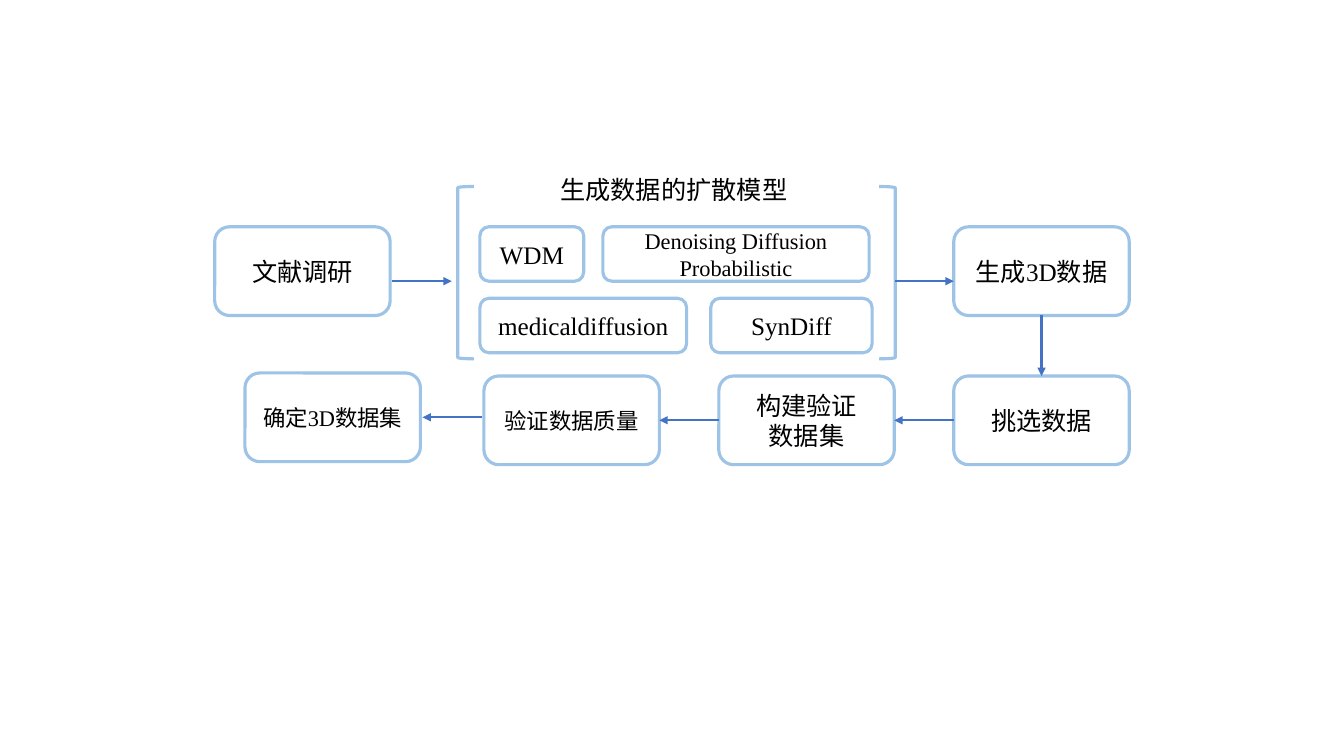
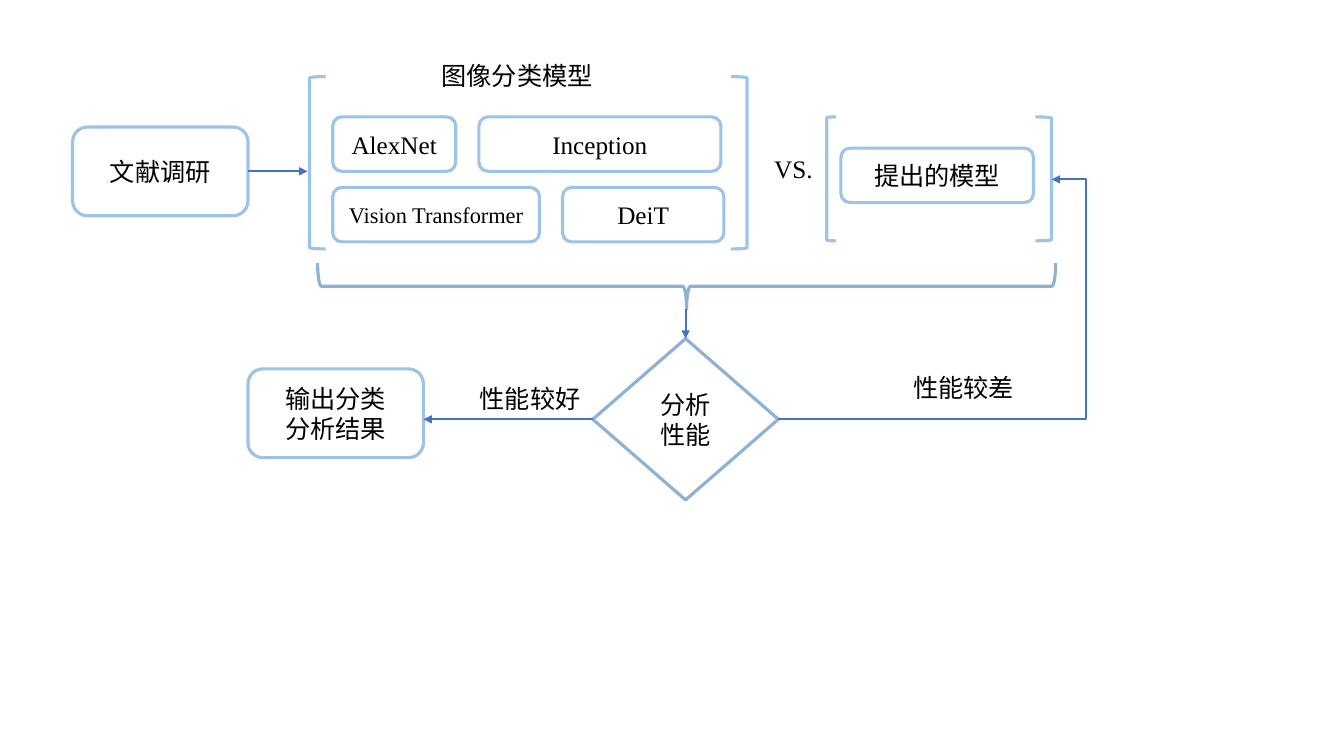
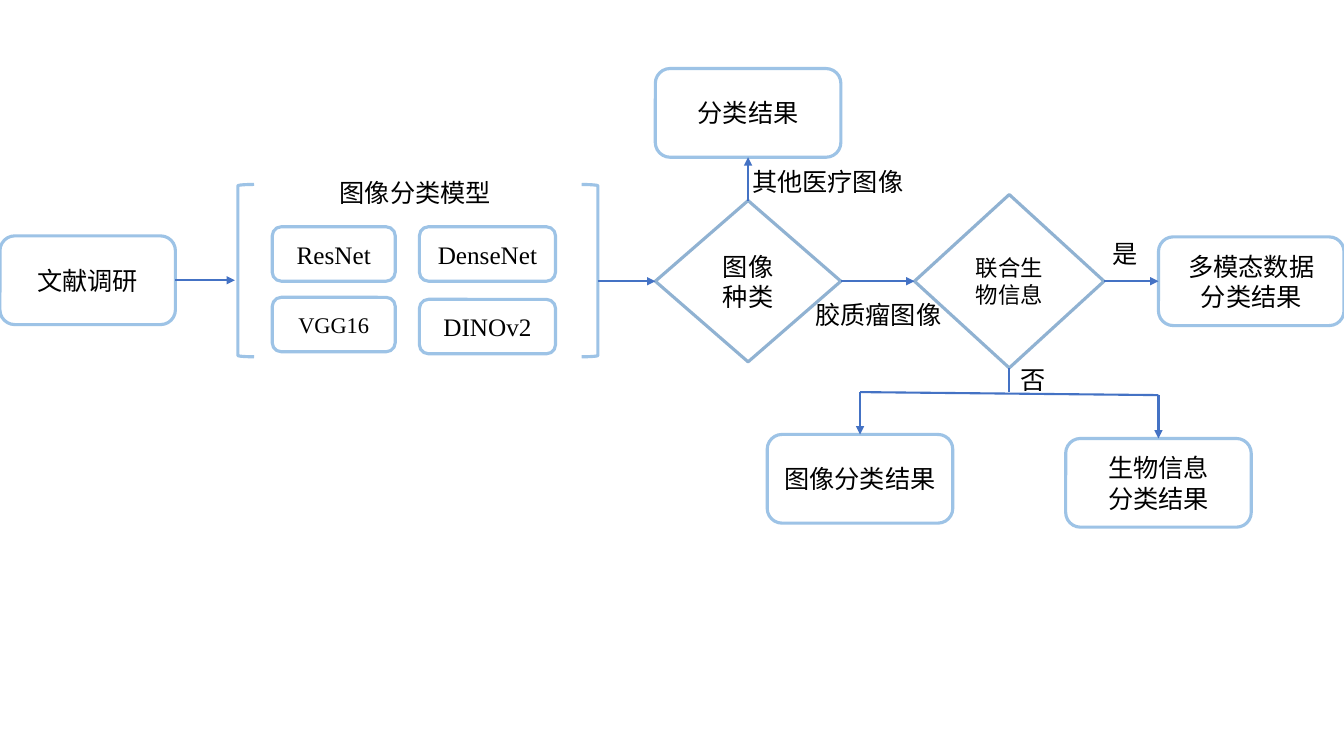
from lxml import etree
from pptx import Presentation
from pptx.dml.color import RGBColor
from pptx.enum import shapes, text
from pptx.oxml import ns
from pptx.util import Inches, Pt

LIGHT_BLUE = RGBColor(0x9D, 0xC3, 0xE6)
STEEL_BLUE = RGBColor(0x90, 0xB2, 0xD2)
ARROW_BLUE = RGBColor(0x44, 0x72, 0xC4)
WHITE = RGBColor(0xFF, 0xFF, 0xFF)
BLACK = RGBColor(0x00, 0x00, 0x00)
LATIN_FONT = "Times New Roman"
CHINESE_FONT = "Noto Sans CJK SC"

TOP, LEFT, BOTTOM, RIGHT = range(4)
STEP = (1.74, 0.88)
RESULT = (1.84, 0.88)
MODEL_HEIGHT = 0.54
LABEL_HEIGHT = 0.4
BRACKET = (0.16, 1.71)
COLUMNS = [9.46 - 2.33 * column for column in range(3)]

ROUNDED = shapes.MSO_SHAPE.ROUNDED_RECTANGLE
DIAMOND = shapes.MSO_SHAPE.DIAMOND
LEFT_BRACKET = shapes.MSO_SHAPE.LEFT_BRACKET
RIGHT_BRACKET = shapes.MSO_SHAPE.RIGHT_BRACKET
LEFT_BRACE = shapes.MSO_SHAPE.LEFT_BRACE

# boxes: name, text, left, top, (width, height), font size
# models: text, left, top, width, font size
# brackets: preset, left, top, (width, height)
# labels: text, left, top, width, centred
# arrows: start, end as a point or a (box name, side)
DATA_GENERATION = {
    "boxes": [
        ("review", "文献调研", 2.13, 2.25, STEP, 18),
        ("generate", "生成3D数据", COLUMNS[0], 2.25, STEP, 18),
        ("select", "挑选数据", COLUMNS[0], 3.73, STEP, 18),
        ("build", "构建验证\n数据集", COLUMNS[1], 3.73, STEP, 18),
        ("verify", "验证数据质量", COLUMNS[2], 3.73, STEP, 16),
        ("confirm", "确定3D数据集", 2.43, 3.7, STEP, 16),
    ],
    "models": [
        ("WDM", 4.76, 2.25, 1.03, 18),
        ("Denoising Diffusion Probabilistic", 5.98, 2.25, 2.64, 16),
        ("medicaldiffusion", 4.76, 2.96, 2.05, 18),
        ("SynDiff", 7.05, 2.96, 1.6, 18),
    ],
    "brackets": [(LEFT_BRACKET, 4.54, 1.85, BRACKET), (RIGHT_BRACKET, 8.72, 1.85, BRACKET)],
    "labels": [("生成数据的扩散模型", 5.46, 1.68, 2.5, False)],
    "arrows": [
        ((3.89, 2.79), (4.48, 2.79)),
        ((8.88, 2.79), (9.46, 2.79)),
        (("generate", BOTTOM), ("select", TOP)),
        (("select", LEFT), ("build", RIGHT)),
        (("build", LEFT), ("verify", RIGHT)),
        ((4.78, 4.14), (4.19, 4.14)),
    ],
}

MODEL_COMPARISON = {
    "boxes": [
        ("review", "文献调研", 0.72, 1.26, STEP, 18),
        ("output", "输出分类\n分析结果", 2.46, 3.66, STEP, 18),
    ],
    "models": [
        ("AlexNet", 3.3, 1.16, 1.22, 18),
        ("Inception", 4.75, 1.16, 2.4, 18),
        ("Vision Transformer", 3.3, 1.86, 2.05, 16),
        ("DeiT", 5.58, 1.86, 1.6, 18),
        ("提出的模型", 8.34, 1.47, 1.91, 18),
    ],
    "diamonds": [("analyse", "分析\n性能", 5.88, 3.36, (1.84, 1.6), 18)],
    "brackets": [
        (LEFT_BRACKET, 3.07, 0.76, BRACKET),
        (RIGHT_BRACKET, 7.25, 0.76, BRACKET),
        (LEFT_BRACKET, 8.2, 1.16, (0.09, 1.23)),
        (RIGHT_BRACKET, 10.27, 1.16, (0.16, 1.23)),
    ],
    "braces": [(LEFT_BRACE, 6.58, -0.82, (0.46, 7.32))],
    "labels": [
        ("图像分类模型", 4.28, 0.55, 1.93, False),
        ("VS.", 7.58, 1.47, 0.65, False),
        ("性能较好", 4.66, 3.75, 1.27, False),
        ("性能较差", 8.96, 3.64, 1.27, False),
    ],
    "arrows": [
        (("review", RIGHT), (3.05, 1.7)),
        (("analyse", LEFT), (4.2, 4.16)),
        ((6.8, 3.07), ("analyse", TOP)),
    ],
    "elbows": [((7.72, 4.16), (10.43, 1.78), 112700)],
}

MULTIMODAL_RESULT = {
    "boxes": [
        ("review", "文献调研", 0, 2.34, STEP, 18),
        ("other", "分类结果", 6.5, 0.68, RESULT, 18),
        ("multimodal", "多模态数据\n分类结果", 11.49, 2.35, RESULT, 18),
        ("image", "图像分类结果", 7.61, 4.31, RESULT, 18),
        ("biology", "生物信息\n分类结果", 10.57, 4.35, RESULT, 18),
    ],
    "models": [
        ("ResNet", 2.7, 2.25, 1.22, 18),
        ("DenseNet", 4.16, 2.25, 1.35, 18),
        ("VGG16", 2.7, 2.95, 1.22, 16),
        ("DINOv2", 4.16, 2.97, 1.35, 18),
    ],
    "diamonds": [
        ("kind", "图像种类", 6.5, 1.99, (1.84, 1.6), 18),
        ("combine", "联合生物信息", 9.07, 1.93, (1.88, 1.72), 16),
    ],
    "brackets": [(LEFT_BRACKET, 2.36, 1.83, BRACKET), (RIGHT_BRACKET, 5.77, 1.83, BRACKET)],
    "labels": [
        ("图像分类模型", 3.27, 1.71, 1.93, False),
        ("胶质瘤图像", 7.84, 2.92, 1.74, True),
        ("其他医疗图像", 7.28, 1.6, 1.86, True),
        ("是", 10.83, 2.32, 0.66, True),
        ("否", 9.92, 3.57, 0.66, True),
    ],
    "arrows": [
        (("review", RIGHT), (2.33, 2.78)),
        ((5.93, 2.79), ("kind", LEFT)),
        (("kind", TOP), ("other", BOTTOM)),
        (("kind", RIGHT), ("combine", LEFT)),
        (("combine", RIGHT), ("multimodal", LEFT)),
        ((8.53, 3.89), ("image", TOP)),
        ((11.49, 3.92), ("biology", TOP)),
    ],
    "lines": [
        (("combine", BOTTOM), (10.01, 3.89)),
        ((8.53, 3.89), (11.49, 3.92)),
    ],
}


def write_text(shape, content, size, centred):
    frame = shape.text_frame
    frame.word_wrap = True
    frame.text = content
    for paragraph in frame.paragraphs:
        paragraph.alignment = text.PP_ALIGN.CENTER if centred else text.PP_ALIGN.LEFT
        for run in paragraph.runs:
            run.font.size = Pt(size)
            run.font.color.rgb = BLACK
            run.font.name = LATIN_FONT
            properties = run.font._element
            etree.SubElement(properties, ns.qn("a:ea"), typeface=CHINESE_FONT)


def add_outline(slide, preset, left, top, size, color=LIGHT_BLUE):
    shape = slide.shapes.add_shape(preset, *map(Inches, (left, top, *size)))
    shape.shadow.inherit = False
    shape.fill.background()
    shape.line.color.rgb = color
    shape.line.width = Pt(2.25)
    return shape


def add_node(slide, preset, content, left, top, size, font_size, color=LIGHT_BLUE):
    shape = add_outline(slide, preset, left, top, size, color)
    shape.fill.solid()
    shape.fill.fore_color.rgb = WHITE
    shape.text_frame.vertical_anchor = text.MSO_ANCHOR.MIDDLE
    write_text(shape, content, font_size, True)
    return shape


def add_label(slide, content, left, top, width, centred):
    label = slide.shapes.add_textbox(*map(Inches, (left, top, width, LABEL_HEIGHT)))
    write_text(label, content, 18, centred)


def add_link(slide, nodes, start, end, arrow=True, bend=None):
    joins = [isinstance(place[0], str) for place in (start, end)]
    points = [(0, 0) if joined else place for joined, place in zip(joins, (start, end))]
    kind = shapes.MSO_CONNECTOR.ELBOW if bend else shapes.MSO_CONNECTOR.STRAIGHT
    connector = slide.shapes.add_connector(kind, *map(Inches, points[0] + points[1]))
    for joined, place, connect in zip(joins, (start, end), (connector.begin_connect, connector.end_connect)):
        if joined:
            connect(nodes[place[0]], place[1])
    connector.line.color.rgb = ARROW_BLUE
    connector.line.width = Pt(1.5)
    properties = connector._element.spPr
    if arrow:
        etree.SubElement(properties.find(ns.qn("a:ln")), ns.qn("a:tailEnd"), type="triangle")
    if bend:
        adjustments = properties.find(ns.qn("a:prstGeom")).get_or_add_avLst()
        etree.SubElement(adjustments, ns.qn("a:gd"), name="adj1", fmla=f"val {bend}")
    etree.SubElement(properties, ns.qn("a:effectLst"))


def add_flowchart(presentation, flow):
    slide = presentation.slides.add_slide(presentation.slide_layouts[6])
    nodes = {}
    for name, *box in flow["boxes"]:
        nodes[name] = add_node(slide, ROUNDED, *box)
    for content, left, top, width, size in flow["models"]:
        add_node(slide, ROUNDED, content, left, top, (width, MODEL_HEIGHT), size)
    for name, *diamond in flow.get("diamonds", []):
        nodes[name] = add_node(slide, DIAMOND, *diamond, STEEL_BLUE)
    for bracket in flow["brackets"]:
        add_outline(slide, *bracket)
    for brace in flow.get("braces", []):
        add_outline(slide, *brace, STEEL_BLUE).rotation = 270
    for label in flow["labels"]:
        add_label(slide, *label)
    for start, end in flow["arrows"]:
        add_link(slide, nodes, start, end)
    for start, end in flow.get("lines", []):
        add_link(slide, nodes, start, end, arrow=False)
    for start, end, bend in flow.get("elbows", []):
        add_link(slide, nodes, start, end, bend=bend)


def main():
    presentation = Presentation()
    presentation.slide_width = Inches(13.33)
    presentation.slide_height = Inches(7.5)
    for flow in (DATA_GENERATION, MODEL_COMPARISON, MULTIMODAL_RESULT):
        add_flowchart(presentation, flow)
    presentation.save("out.pptx")


if __name__ == "__main__":
    main()
